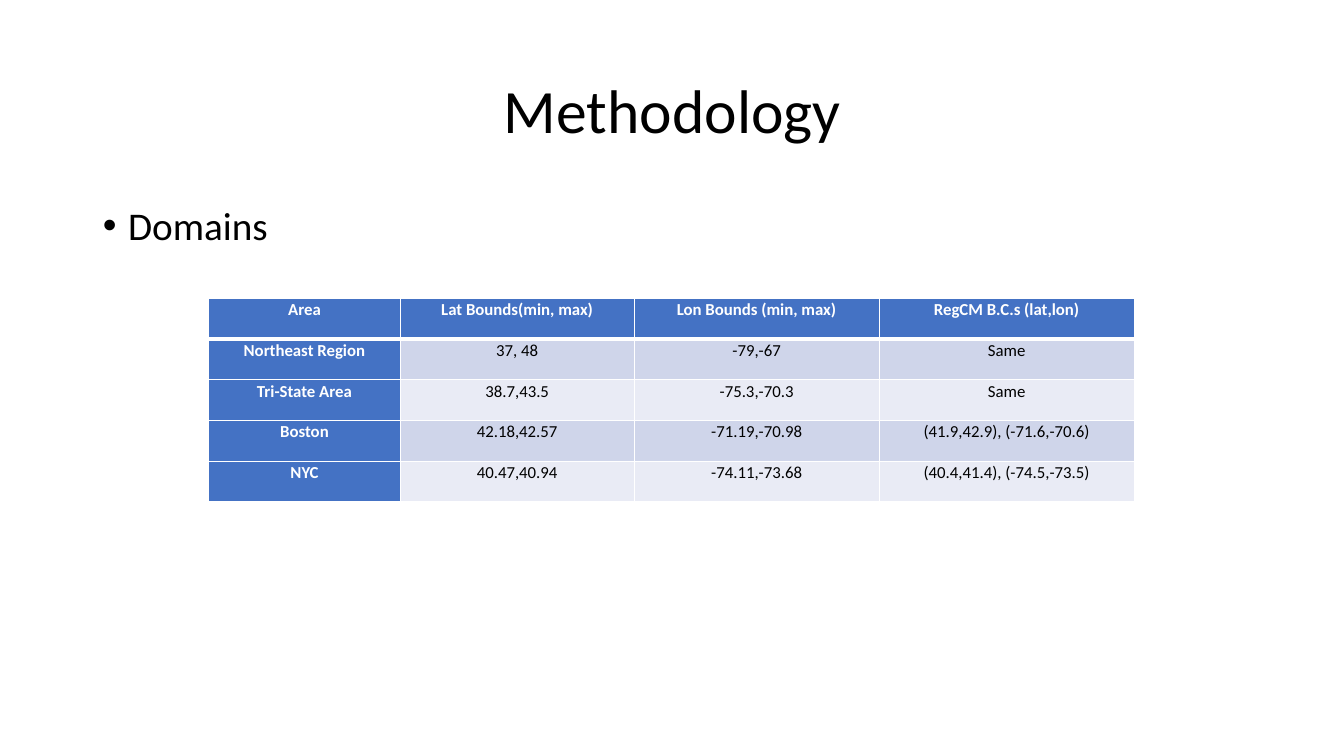
from lxml.etree import SubElement
from pptx import Presentation
from pptx.dml.color import RGBColor
from pptx.enum.text import MSO_ANCHOR, MSO_AUTO_SIZE, PP_ALIGN
from pptx.oxml.ns import qn
from pptx.util import Inches, Pt

COLORS = {
    "text": "000000",
    "white": "FFFFFF",
    "header": "4472C4",
    "odd_band": "CFD5EA",
    "even_band": "E9EBF5",
}
DOMAINS = [
    ["Area", "Lat Bounds(min, max)", "Lon Bounds (min, max)", "RegCM B.C.s (lat,lon)"],
    ["Northeast Region", "37, 48", "-79,-67", "Same"],
    ["Tri-State Area", "38.7,43.5", "-75.3,-70.3", "Same"],
    ["Boston", "42.18,42.57", "-71.19,-70.98", "(41.9,42.9), (-71.6,-70.6)"],
    ["NYC", "40.47,40.94", "-74.11,-73.68", "(40.4,41.4), (-74.5,-73.5)"],
]
COLUMN_WIDTHS = [1.9, 2.32, 2.43, 2.53]


def write_text(frame, text, size, color="text", bold=False,
               align=PP_ALIGN.LEFT, spacing=0.9, bullet=None):
    paragraph = frame.paragraphs[0]
    paragraph.text = text
    paragraph.alignment = align
    paragraph.line_spacing = spacing
    paragraph.space_before = Pt(0)
    if bullet:
        properties = paragraph._p.get_or_add_pPr()
        properties.set("marL", str(Inches(0.25)))
        properties.set("indent", str(-Inches(0.25)))
        SubElement(properties, qn("a:buFont"), typeface="Arial")
        SubElement(properties, qn("a:buChar"), char=bullet)
    font = paragraph.runs[0].font
    font.name = "Calibri"
    font.size = Pt(size)
    font.bold = bold
    font.color.rgb = RGBColor.from_string(COLORS[color])


def fill_placeholder(placeholder, box, text, size, anchor, **text_format):
    placeholder.left, placeholder.top, placeholder.width, placeholder.height = map(Inches, box)
    frame = placeholder.text_frame
    frame.word_wrap = True
    frame.auto_size = MSO_AUTO_SIZE.NONE
    frame.vertical_anchor = anchor
    write_text(frame, text, size, **text_format)


def add_borders(cell, widths):
    properties = cell._tc.get_or_add_tcPr()
    for side, width in widths.items():
        line = SubElement(properties, qn(f"a:ln{side}"), w=str(Pt(width)))
        solid = SubElement(line, qn("a:solidFill"))
        SubElement(solid, qn("a:srgbClr"), val=COLORS["white"])


def add_domains_table(slide, box):
    left, top, width, height = map(Inches, box)
    table = slide.shapes.add_table(len(DOMAINS), len(COLUMN_WIDTHS),
                                   left, top, width, height).table
    for column, column_width in zip(table.columns, COLUMN_WIDTHS):
        column.width = Inches(column_width)
    for row_index, values in enumerate(DOMAINS):
        band = "odd_band" if row_index % 2 else "even_band"
        for column_index, value in enumerate(values):
            heading = row_index == 0 or column_index == 0
            cell = table.cell(row_index, column_index)
            add_borders(cell, {"L": 1, "R": 1,
                               "T": 3 if row_index == 1 else 1,
                               "B": 3 if row_index == 0 else 1})
            cell.fill.solid()
            cell.fill.fore_color.rgb = RGBColor.from_string(COLORS["header" if heading else band])
            cell.margin_left = cell.margin_right = Inches(0.07)
            cell.margin_top = cell.margin_bottom = 0
            write_text(cell.text_frame, value, 12, color="white" if heading else "text",
                       bold=heading, align=PP_ALIGN.CENTER, spacing=1.07)


def add_methodology_slide(presentation):
    slide = presentation.slides.add_slide(presentation.slide_layouts[1])
    title, body = slide.placeholders
    fill_placeholder(title, (0.92, 0.4, 11.5, 1.45), "Methodology", 44,
                     MSO_ANCHOR.MIDDLE, align=PP_ALIGN.CENTER)
    fill_placeholder(body, (0.92, 2, 11.5, 4.76), "Domains", 28,
                     MSO_ANCHOR.TOP, bullet="•")
    add_domains_table(slide, (2.07, 2.96, sum(COLUMN_WIDTHS), 2.02))


def main():
    presentation = Presentation()
    presentation.slide_width = Inches(13.33)
    presentation.slide_height = Inches(7.5)
    add_methodology_slide(presentation)
    presentation.save("out.pptx")


if __name__ == "__main__":
    main()
